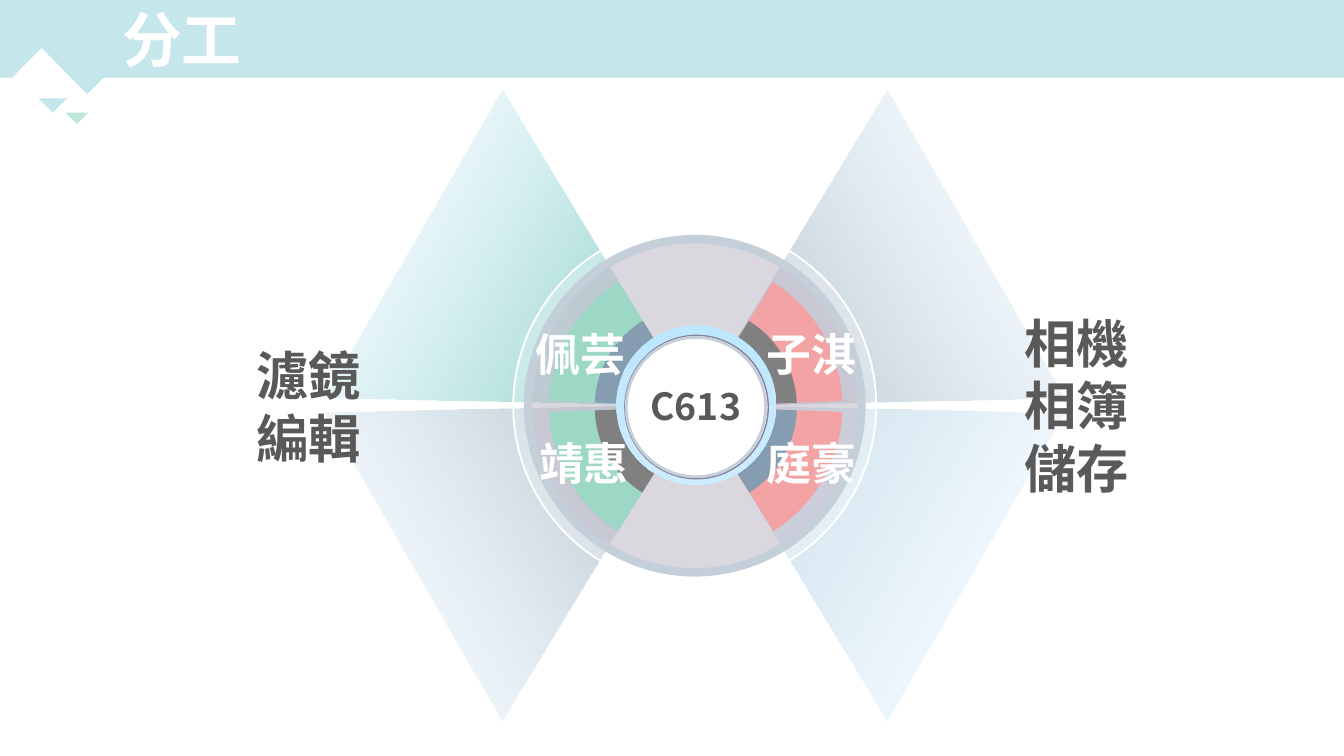
"""Build the division-of-work slide: a hub with four named sectors and fading wedges."""
from math import cos, radians, sin, tan

from lxml.etree import SubElement
from pptx import Presentation
from pptx.dml.color import RGBColor
from pptx.enum.shapes import MSO_SHAPE as Form
from pptx.enum.text import MSO_ANCHOR as Anchor, PP_ALIGN as Align
from pptx.oxml.ns import qn
from pptx.util import Cm, Pt

FONT = "Noto Sans CJK SC"
COLORS = {
    "white": "FFFFFF", "band": "C5E7EB", "mint": "BDE5D8", "text": "595959",
    "grey": "A6A6A6", "green": "5ABE9E", "steel": "C4CFD9", "ice": "CCECFF",
    "sky": "BDE6FF", "mauve": "B6B1C1", "plum": "867D98", "pink": "F4A3A4",
    "jade": "9CD8C5", "dark": "808080", "slate": "859CB1",
}
CENTER_X, CENTER_Y = 13.15, 7.69


def paint(shape, colors=(), alphas=(), line=None, width=0):
    """Fill with none, one or two colours and set the outline."""
    shape.shadow.inherit = False
    fill = shape.fill
    if len(colors) == 2:
        fill.gradient()
        fill.gradient_angle = 270
        targets = [stop.color for stop in fill.gradient_stops]
    elif colors:
        fill.solid()
        targets = [fill.fore_color]
    else:
        fill.background()
        targets = []
    for target, color in zip(targets, colors):
        target.rgb = RGBColor.from_string(COLORS[color])
    for node, alpha in zip(shape._element.spPr.iter(qn("a:srgbClr")), alphas):
        SubElement(node, qn("a:alpha"), val=str(alpha * 1000))
    if line:
        shape.line.color.rgb = RGBColor.from_string(COLORS[line])
        shape.line.width = Pt(width)
    else:
        shape.line.fill.background()


def write(shape, lines, size, color, align, **frame_format):
    """Write bold lines, one paragraph each."""
    frame = shape.text_frame
    for name, value in frame_format.items():
        setattr(frame, name, value)
    for index, line in enumerate(lines):
        para = frame.add_paragraph() if index else frame.paragraphs[0]
        para.alignment = align
        span = para.add_run()
        span.text = line
        for name, value in {"size": Pt(size), "bold": True, "name": FONT}.items():
            setattr(span.font, name, value)
        span.font.color.rgb = RGBColor.from_string(COLORS[color])
        SubElement(span.font._element, qn("a:ea"), typeface=FONT)


deck = Presentation()
deck.slide_width, deck.slide_height = Cm(25.4), Cm(14.29)
page = deck.slides.add_slide(deck.slide_layouts[5])
shapes = page.shapes

band = shapes.add_shape(Form.RECTANGLE, 0, 0, Cm(25.4), Cm(1.47))
paint(band, ["band"])

for left, right, base, tip, color in [
    (1.22, 2.08, 1.35, 1.78, "band"),
    (1.24, 1.67, 2.13, 2.34, "mint"),
    (0.2, 1.37, 1.5, 0.91, "white"),
    (0.73, 1.27, 1.86, 2.13, "band"),
]:
    outline = shapes.build_freeform(Cm(left), Cm(base))
    outline.add_line_segments([(Cm(right), Cm(base)), (Cm((left + right) / 2), Cm(tip))])
    paint(outline.convert_to_shape(), [color])

title = shapes.title
title.left, title.top, title.width, title.height = Cm(2.31), 0, Cm(20), Cm(1.45)
write(title, ["分工"], 32, "white", Align.LEFT, vertical_anchor=Anchor.MIDDLE,
      margin_left=0, margin_top=0, margin_bottom=0)
shapes._spTree.append(title._element)

for left, top, turn, color in [
    (12.44, 3.07, 240, "grey"), (7.1, 3.07, 120, "green"),
    (12.44, 6.12, 300, "steel"), (7.1, 6.12, 60, "grey"),
]:
    wedge = shapes.add_shape(Form.ISOSCELES_TRIANGLE, Cm(left), Cm(top), Cm(6.71), Cm(6.12))
    wedge.rotation = turn
    paint(wedge, [color, "ice"], [100, 0])

for left, top, size, color, alpha, line, width in [
    (9.7, 4.24, 6.86, "white", 25, "white", 1),
    (9.98, 4.52, 6.3, "mauve", 50, "steel", 4.5),
]:
    disc = shapes.add_shape(Form.OVAL, Cm(left), Cm(top), Cm(size), Cm(size))
    paint(disc, [color], [alpha], line, width)

first, last = radians(73), radians(17)
handle = 4 / 3 * tan((first - last) / 4)
arc = [
    (cos(first), sin(first)),
    (cos(first) + handle * sin(first), sin(first) - handle * cos(first)),
    (cos(last) - handle * sin(last), sin(last) + handle * cos(last)),
    (cos(last), sin(last)),
    (0, 0),
]
for radius, fills in [
    (2.77, ["pink", "pink", "jade", "jade"]),
    (1.91, ["dark", "slate", "slate", "dark"]),
]:
    for (side, turn), color in zip([(1, 14.7), (1, 75), (-1, 345.4), (-1, 285)], fills):
        points = [(Cm(CENTER_X + side * radius * x), Cm(CENTER_Y - radius * y)) for x, y in arc]
        outline = shapes.build_freeform(*points[0])
        outline.add_line_segments(points[1:])
        sector = outline.convert_to_shape()
        steps = list(sector._element.iter(qn("a:lnTo")))[:3]
        curve = SubElement(steps[0].getparent(), qn("a:cubicBezTo"))
        steps[0].addprevious(curve)
        for step in steps:
            curve.append(step[0])
            step.getparent().remove(step)
        half, angle = radius * cos(last) / 2, radians(turn)
        middle_x = CENTER_X + half * (side * cos(angle) + sin(angle))
        middle_y = CENTER_Y + half * (side * sin(angle) - cos(angle))
        sector.left, sector.top = Cm(middle_x - half), Cm(middle_y - half)
        sector.rotation = turn
        paint(sector, [color])

for form, left, top, size, fills, line in [
    (Form.OVAL, 11.65, 6.15, 3.02, ["sky", "ice"], None),
    (Form.OVAL, 11.81, 6.34, 2.71, ["white"], "plum"),
    (Form.DONUT, 11.81, 6.35, 2.69, ["steel"], None),
]:
    hub = shapes.add_shape(form, Cm(left), Cm(top), Cm(size), Cm(size))
    paint(hub, fills, line=line, width=0.75)
hub.adjustments[0] = 0.02

for name, left, top in [
    ("靖惠", 10.36, 8.39), ("庭豪", 14.66, 8.39),
    ("子淇", 14.66, 6.33), ("佩芸", 10.3, 6.33),
]:
    label = shapes.add_shape(Form.ROUNDED_RECTANGLE, Cm(left), Cm(top), Cm(1.35), Cm(0.69))
    label.adjustments[0] = 0.5
    paint(label)
    write(label, [name], 24, "white", Align.CENTER,
          word_wrap=False, vertical_anchor=Anchor.MIDDLE)

for lines, left, top, width, height, size, align, wrap in [
    (["C613"], 11.97, 7.11, 2.36, 1.12, 20, Align.CENTER, True),
    (["濾鏡", "編輯"], 4.6, 6.36, 2.51, 2.64, 28, Align.JUSTIFY, False),
    (["相機", "相簿", "儲存"], 19.11, 5.75, 2.51, 3.84, 28, Align.JUSTIFY, False),
]:
    box = shapes.add_textbox(Cm(left), Cm(top), Cm(width), Cm(height))
    write(box, lines, size, "text", align, word_wrap=wrap)

deck.save("out.pptx")
